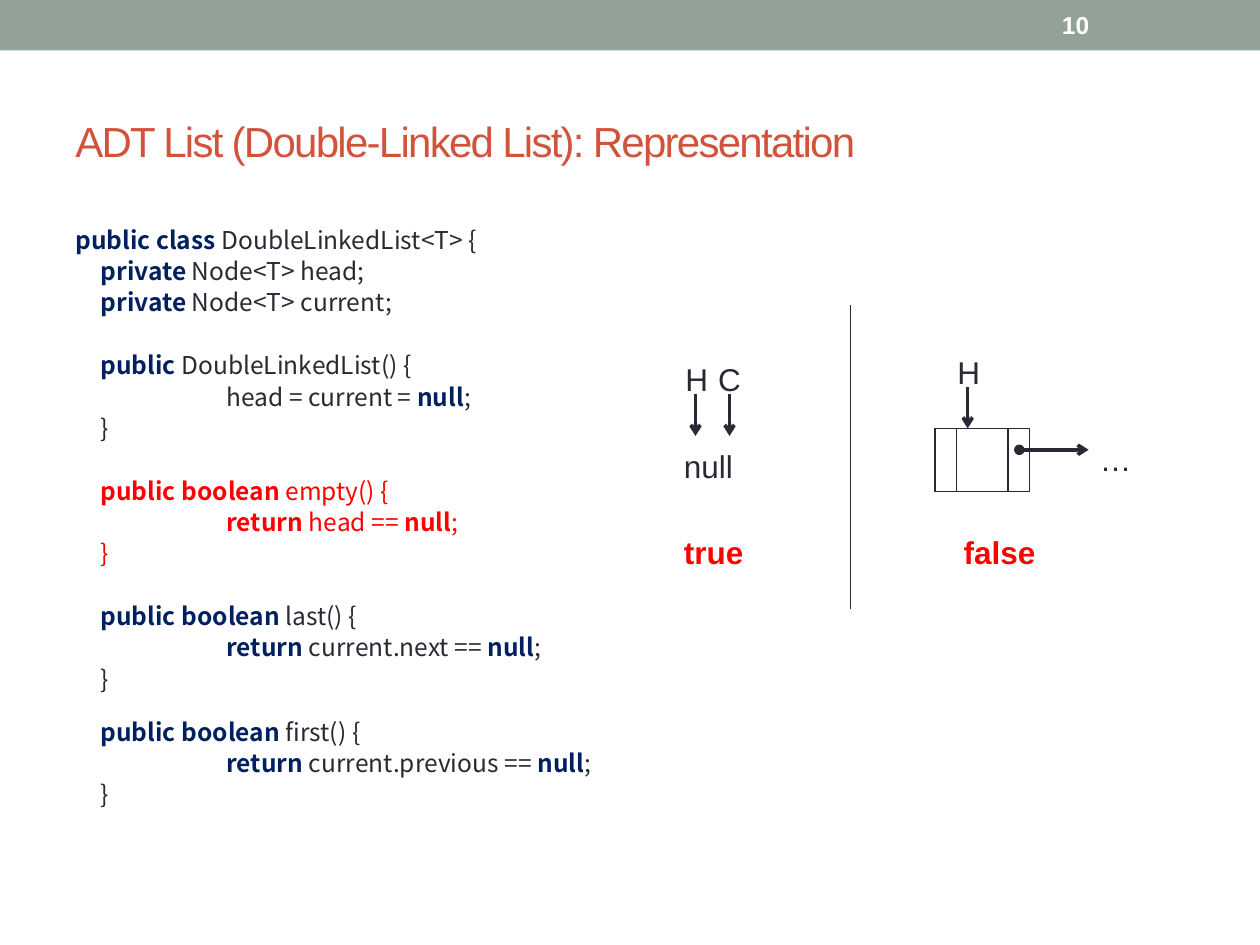
from lxml.etree import SubElement
from pptx import Presentation
from pptx.dml.color import RGBColor
from pptx.enum.shapes import MSO_CONNECTOR as Connector, MSO_SHAPE as Shape
from pptx.enum.text import MSO_ANCHOR as Anchor
from pptx.oxml.ns import qn
from pptx.util import Inches, Pt

DARK, NAVY, RED = "292934", "002060", "FF0000"

presentation = Presentation()
presentation.slide_width, presentation.slide_height = Inches(10), Inches(7.5)
COLUMN = presentation.slide_width / 100
ROW = presentation.slide_height / 75
slide = presentation.slides.add_slide(presentation.slide_layouts[6])


def paint(color_format, hex_color):
    color_format.rgb = RGBColor.from_string(hex_color)


def add_text(column, row, columns, rows, text, color, **font_values):
    """Add a text box, placed in grid units, and return its text frame."""
    box = slide.shapes.add_textbox(int(column * COLUMN), int(row * ROW),
                                   int(columns * COLUMN), int(rows * ROW))
    frame = box.text_frame
    if text:
        run = frame.paragraphs[0].add_run()
        run.text = text
        for name, value in {"name": "Arial", "size": Pt(18), **font_values}.items():
            setattr(run.font, name, value)
        paint(run.font.color, color)
    return frame


# Header band, title and slide number
band = slide.shapes.add_shape(Shape.RECTANGLE, 0, 0, presentation.slide_width, int(4 * ROW))
band.shadow.inherit = False
band.fill.solid()
paint(band.fill.fore_color, "93A299")
band.line.fill.background()

title = add_text(5, 5.8, 90, 10.8, "ADT List (Double-Linked List): Representation",
                 "D2533C", size=Pt(24))
title.paragraphs[0].runs[0].font._element.set("spc", "-100")
number = add_text(83.3, 0.2, 11.7, 3.6, "10", "FFFFFF", size=Pt(14), bold=True)
for frame in (title, number):
    frame.word_wrap = True
    frame.vertical_anchor = Anchor.MIDDLE

# Code: each block has a space before it, a keyword colour and a text colour;
# each line has a left margin in columns, and its keywords stand between asterisks
code_blocks = [
    (0, NAVY, DARK, [(0, "*public class *DoubleLinkedList<T> {"),
                     (2, "*private* Node<T> head;"),
                     (2, "*private* Node<T> current;")]),
    (18, NAVY, DARK, [(2, "*public *DoubleLinkedList() {"),
                      (12, "head = current = *null*;"),
                      (2, "}")]),
    (18, RED, RED, [(2, "*public boolean* empty() {"),
                    (12, "*return* head == *null*;"),
                    (2, "}")]),
    (18, NAVY, DARK, [(2, "*public boolean* last() {"),
                      (12, "*return *current.next == *null*;"),
                      (2, "}")]),
    (12.4, NAVY, DARK, [(2, "*public boolean* first() {"),
                        (12, "*return *current.previous == *null*;"),
                        (2, "}")]),
]
code = add_text(5, 17.5, 90, 53.3, "", DARK)
code.word_wrap = True
code.margin_top = Inches(0.02)
paragraph = code.paragraphs[0]
for gap, keyword_color, plain_color, lines in code_blocks:
    for index, (margin, line) in enumerate(lines):
        if paragraph.runs:
            paragraph = code.add_paragraph()
        paragraph.line_spacing = Pt(17.9)
        paragraph.space_before = Pt(0 if index else gap)
        paragraph._p.get_or_add_pPr().set("marL", str(int(margin * COLUMN)))
        for position, part in enumerate(line.split("*")):
            if part:
                is_keyword = position % 2 == 1
                run = paragraph.add_run()
                run.text = part
                run.font.name, run.font.size = "Noto Sans CJK SC", Pt(14)
                run.font.bold = is_keyword
                paint(run.font.color, keyword_color if is_keyword else plain_color)
                east_asian = SubElement(run.font._element, qn("a:ea"))
                east_asian.set("typeface", "Noto Sans CJK SC")

# List node: previous, data and next cells
node_left = 74.2
for width in (1.7, 4.1, 1.7):
    cell = slide.shapes.add_shape(Shape.RECTANGLE, int(node_left * COLUMN), int(34 * ROW),
                                  int(width * COLUMN), int(5 * ROW))
    cell.shadow.inherit = False
    cell.fill.background()
    paint(cell.line.color, DARK)
    cell.line.width = Pt(0.75)
    node_left += width

# Divider and pointers
pointers = [
    (67.5, 24.2, 67.5, 48.3, 0.75, {}),
    (55.2, 31.3, 55.2, 34.6, 2, {"tailEnd": "arrow"}),
    (57.9, 31.3, 57.9, 34.6, 2, {"tailEnd": "arrow"}),
    (76.8, 30.7, 76.8, 34, 2, {"tailEnd": "arrow"}),
    (80.9, 35.7, 86.4, 35.7, 2, {"headEnd": "oval", "tailEnd": "arrow"}),
]
for start_column, start_row, end_column, end_row, width, ends in pointers:
    pointer = slide.shapes.add_connector(
        Connector.STRAIGHT, int(start_column * COLUMN), int(start_row * ROW),
        int(end_column * COLUMN), int(end_row * ROW))
    paint(pointer.line.color, DARK)
    pointer.line.width = Pt(width)
    for end, kind in ends.items():
        SubElement(pointer.line._get_or_add_ln(), qn(f"a:{end}")).set("type", kind)
    SubElement(pointer._element.spPr, qn("a:effectLst"))

# Diagram labels
labels = [
    (53.4, 28.1, 3.9, "H", DARK, False),
    (56, 28.1, 3.9, "C", DARK, False),
    (53.3, 35, 6.6, "null", DARK, False),
    (53.3, 41.8, 7, "true", RED, True),
    (75, 27.5, 3.9, "H", DARK, False),
    (86.3, 34.4, 4.5, "…", DARK, False),
    (75.5, 41.8, 7.8, "false", RED, True),
]
for column, row, columns, text, color, bold in labels:
    add_text(column, row, columns, 4, text, color, bold=bold).word_wrap = False

presentation.save("out.pptx")
